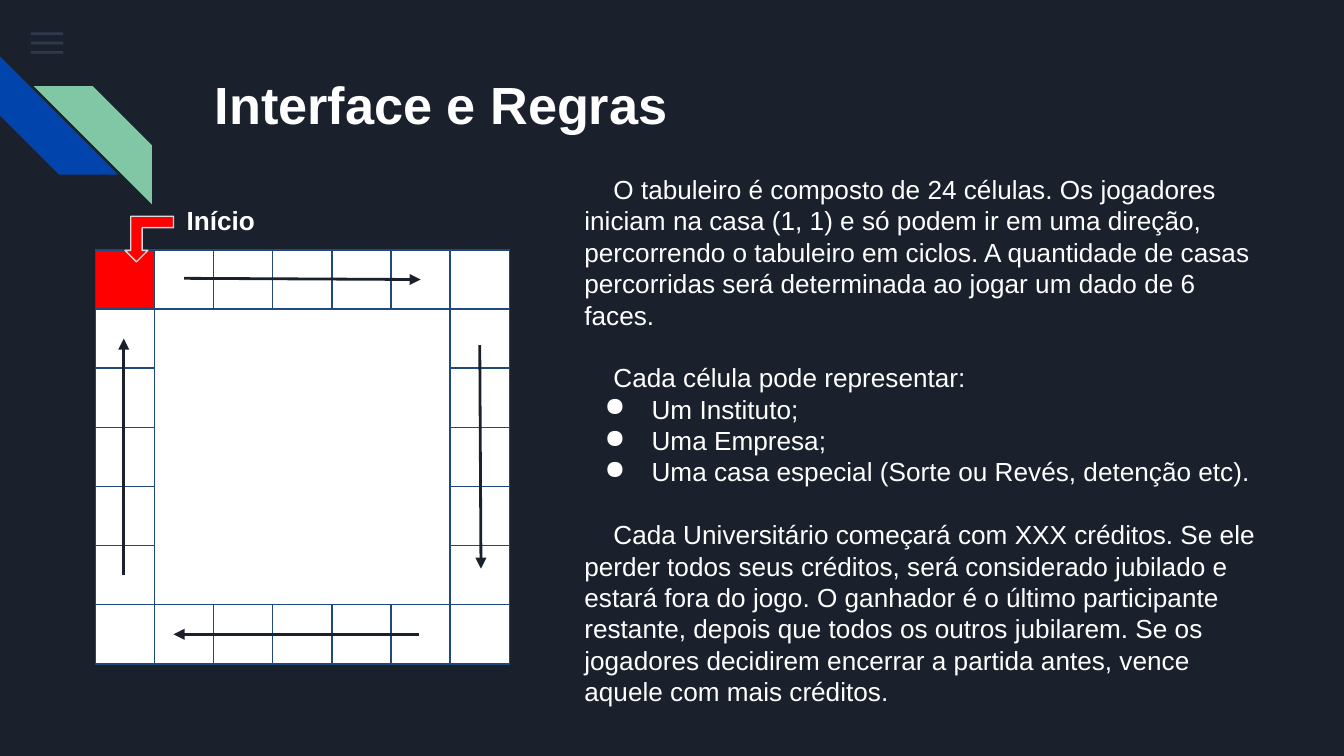
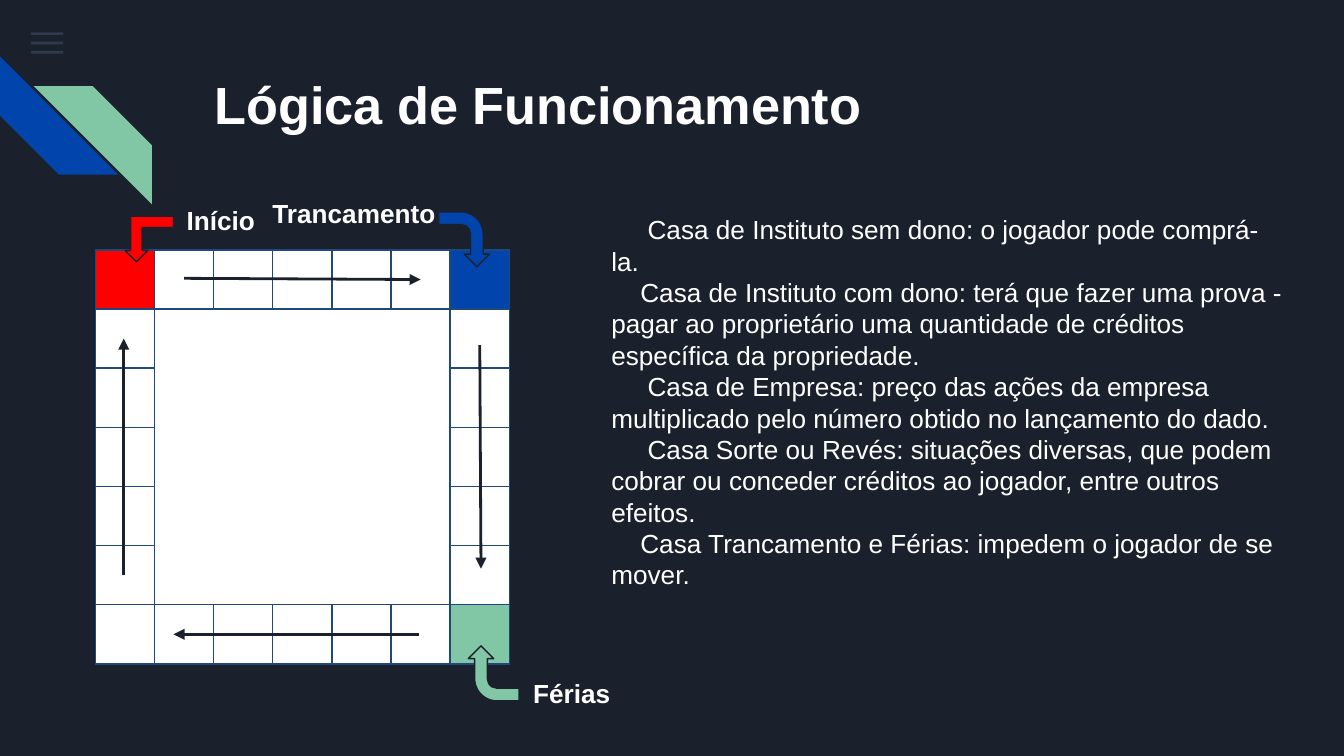
from typing import NamedTuple

from lxml import etree
from pptx import Presentation, util as u
from pptx.dml.color import RGBColor
from pptx.enum import shapes, text
from pptx.oxml.ns import qn

COLORS = {
    "night": "1B212C", "slate": "55688B", "blue": "0145AC", "green": "82C7A5",
    "red": "FF0000", "white": "FFFFFF", "navy": "1F497D", "silver": "D9D9D9",
}
FONT = "Arial"
COLUMN = 0.1  # inches; the slide is a grid of 100 columns by 56.25 rows
COLUMNS, ROWS = 100, 56.25
CELLS = 7  # cells along each side of the board
LINE_GAP = 16.8
FORMATS = {
    "title": {"size": u.Pt(28), "bold": True, "name": FONT},
    "label": {"size": u.Pt(14), "bold": True, "name": FONT},
    "body": {"size": u.Pt(14), "bold": False, "name": FONT},
}


class Box(NamedTuple):
    """Left, top, width and height in grid columns and rows."""
    x: float
    y: float
    w: float
    h: float

    def inner(self, x, y, w, h, unit=1):
        return Box(self.x + x * unit, self.y + y * unit, w * unit, h * unit)

    def emu(self):
        return [grid(side) for side in self]


class Para(NamedTuple):
    words: str
    first_line: float = 0
    before: float = 0
    bullet: bool = False


class Callout(NamedTuple):
    """A corner of the board; arrow and label boxes are in board cells."""
    words: str
    fill: str
    cell: tuple
    label: tuple
    arrow: tuple
    preset: int
    turn: int


BODY_BOX = Box(0, 0, 52, 40.9)
TITLE_AT = (15, 4.4)
BOARD = Box(7.1, 18.6, 30.8, 30.8)
ROUTES = [
    (1.5, 0.48, 5.5, 0.5),
    (6.5, 1.61, 6.52, 5.39),
    (5.48, 6.5, 1.32, 6.5),
    (0.48, 5.5, 0.48, 1.5),
]
BENT, BENT_UP = shapes.MSO_SHAPE.BENT_ARROW, shapes.MSO_SHAPE.BENT_UP_ARROW
START = Callout("Início", "red", (0, 0), (1.32, -1, 1.89, 1),
                (0.5, -0.57, 0.82, 0.77), BENT_UP, 180)
HOLIDAY = Callout("Férias", "green", (6, 6), (7.18, 7, 3.32, 1),
                  (6.27, 6.73, 0.93, 0.86), BENT, 270)
LEAVE = Callout("Trancamento", "blue", (0, 6), (2.77, -1.11, 3.45, 1),
                (5.77, -0.61, 0.93, 0.86), BENT, 90)

RULES = [
    Para("O tabuleiro é composto de 24 células. Os jogadores iniciam na casa (1, 1) e só "
         "podem ir em uma direção, percorrendo o tabuleiro em ciclos. A quantidade de casas "
         "percorridas será determinada ao jogar um dado de 6 faces.", 2.16),
    Para("Cada célula pode representar:", 2.16, LINE_GAP),
    Para("Um Instituto;", bullet=True),
    Para("Uma Empresa;", bullet=True),
    Para("Uma casa especial (Sorte ou Revés, detenção etc).", bullet=True),
    Para("Cada Universitário começará com XXX créditos. Se ele perder todos seus créditos, "
         "será considerado jubilado e estará fora do jogo. O ganhador é o último participante "
         "restante, depois que todos os outros jubilarem. Se os jogadores decidirem encerrar "
         "a partida antes, vence aquele com mais créditos.", 2.16, LINE_GAP),
]
LOGIC = [
    Para("Casa de Instituto sem dono: o jogador pode comprá-la.", 2.7),
    Para("Casa de Instituto com dono: terá que fazer uma prova - pagar ao proprietário uma "
         "quantidade de créditos específica da propriedade.", 2.16),
    Para("Casa de Empresa: preço das ações da empresa multiplicado pelo número obtido no "
         "lançamento do dado.", 2.7),
    Para("Casa Sorte ou Revés: situações diversas, que podem cobrar ou conceder créditos ao "
         "jogador, entre outros efeitos.", 2.7),
    Para("Casa Trancamento e Férias: impedem o jogador de se mover.", 2.16),
]


def grid(count):
    return u.Inches(count * COLUMN)


def rgb(color):
    return RGBColor.from_string(COLORS[color])


def add_figure(slide, preset, box, fill, line=None, turn=0, adjust=()):
    figure = slide.shapes.add_shape(preset, *box.emu())
    figure.shadow.inherit = False
    figure.rotation = turn
    figure.fill.solid()
    figure.fill.fore_color.rgb = rgb(fill)
    if line:
        figure.line.color.rgb = rgb(line)
        figure.line.width = u.Pt(0.75)
    else:
        figure.line.fill.background()
    for index, value in enumerate(adjust):
        figure.adjustments[index] = value
    return figure


def indent(paragraph, para):
    props = paragraph._p.get_or_add_pPr()
    margin, first = (5, -3.5) if para.bullet else (0, para.first_line)
    props.set("marL", str(grid(margin)))
    props.set("indent", str(grid(first)))
    if para.bullet:
        tint = etree.SubElement(props, qn("a:buClr"))
        etree.SubElement(tint, qn("a:srgbClr"), val=COLORS["white"])
        etree.SubElement(props, qn("a:buChar"), char="●")


def add_words(slide, box, paras, style):
    frame = slide.shapes.add_textbox(*box.emu()).text_frame
    frame.word_wrap = True
    frame.vertical_anchor = text.MSO_ANCHOR.TOP
    for side in ("left", "top", "right", "bottom"):
        setattr(frame, f"margin_{side}", grid(1))
    for index, para in enumerate(paras):
        paragraph = frame.add_paragraph() if index else frame.paragraphs[0]
        indent(paragraph, para)
        if para.before:
            paragraph.space_before = u.Pt(para.before)
        run = paragraph.add_run()
        run.text = para.words
        run.font.color.rgb = rgb("white")
        for name, value in FORMATS[style].items():
            setattr(run.font, name, value)


def add_decoration(slide):
    """Menu bars and the two diagonal stripes in the top left corner."""
    corner = Box(0, 0, COLUMNS, ROWS)
    for bar in range(3):
        mark = add_figure(slide, shapes.MSO_SHAPE.RECTANGLE,
                          corner.inner(2.3, 2.4 + 0.7 * bar, 2.4, 0.2), "slate")
        tint = mark.element.spPr.find(".//" + qn("a:srgbClr"))
        etree.SubElement(tint, qn("a:alpha"), val="36000")
    stripe = shapes.MSO_SHAPE.DIAGONAL_STRIPE
    add_figure(slide, stripe, corner.inner(0, 4.2, 8.8, 8.8), "blue", turn=270, adjust=[0.5])
    mirrored = add_figure(slide, stripe, corner.inner(2.5, 6.4, 8.8, 8.8), "green", adjust=[0.5])
    mirrored.element.spPr.find(qn("a:xfrm")).set("flipH", "1")


def add_route(slide, board, route, unit):
    x1, y1, x2, y2 = (grid(start + step * unit)
                      for start, step in zip((board.x, board.y) * 2, route))
    arrow = slide.shapes.add_connector(shapes.MSO_CONNECTOR.STRAIGHT, x1, y1, x2, y2)
    arrow.line.color.rgb = rgb("night")
    arrow.line.width = u.Pt(1.5)
    outline = arrow.element.spPr.find(qn("a:ln"))
    etree.SubElement(outline, qn("a:tailEnd"), type="triangle")
    etree.SubElement(arrow.element.spPr, qn("a:effectLst"))


def add_board(slide, board, callouts, outline):
    """Ring of cells with its direction arrows and marked corners."""
    unit = board.w / CELLS
    square = shapes.MSO_SHAPE.RECTANGLE
    fills = {callout.cell: callout.fill for callout in callouts}
    add_figure(slide, square, board, "white", "navy")
    for row in range(CELLS):
        for col in range(CELLS):
            if row in (0, CELLS - 1) or col in (0, CELLS - 1):
                add_figure(slide, square, board.inner(col, row, 1, 1, unit),
                           fills.get((row, col), "white"), "navy")
    for route in ROUTES:
        add_route(slide, board, route, unit)
    for callout in callouts:
        adjust = [0.25] * 3 + ([0.438] if callout.preset == BENT else [])
        add_figure(slide, callout.preset, board.inner(*callout.arrow, unit),
                   callout.fill, outline, callout.turn, adjust)
        add_words(slide, board.inner(*callout.label, unit), [Para(callout.words)], "label")


def add_game_slide(prs, title, title_width, body, body_at, callouts, outline):
    slide = prs.slides.add_slide(prs.slide_layouts[6])
    add_decoration(slide)
    add_board(slide, BOARD, callouts, outline)
    add_words(slide, Box(*TITLE_AT, title_width, 6.7), [Para(title)], "title")
    add_words(slide, BODY_BOX._replace(x=body_at[0], y=body_at[1]), body, "body")


def main():
    prs = Presentation()
    prs.slide_width, prs.slide_height = grid(COLUMNS), grid(ROWS)
    backdrop = prs.slide_master.background.fill
    backdrop.solid()
    backdrop.fore_color.rgb = rgb("night")
    add_game_slide(prs, "Interface e Regras", 38, RULES, (42.5, 11.9), [START], "silver")
    add_game_slide(prs, "Lógica de Funcionamento", 71.4, LOGIC, (44.5, 14.9),
                   [START, HOLIDAY, LEAVE], "night")
    prs.save("out.pptx")


if __name__ == "__main__":
    main()
